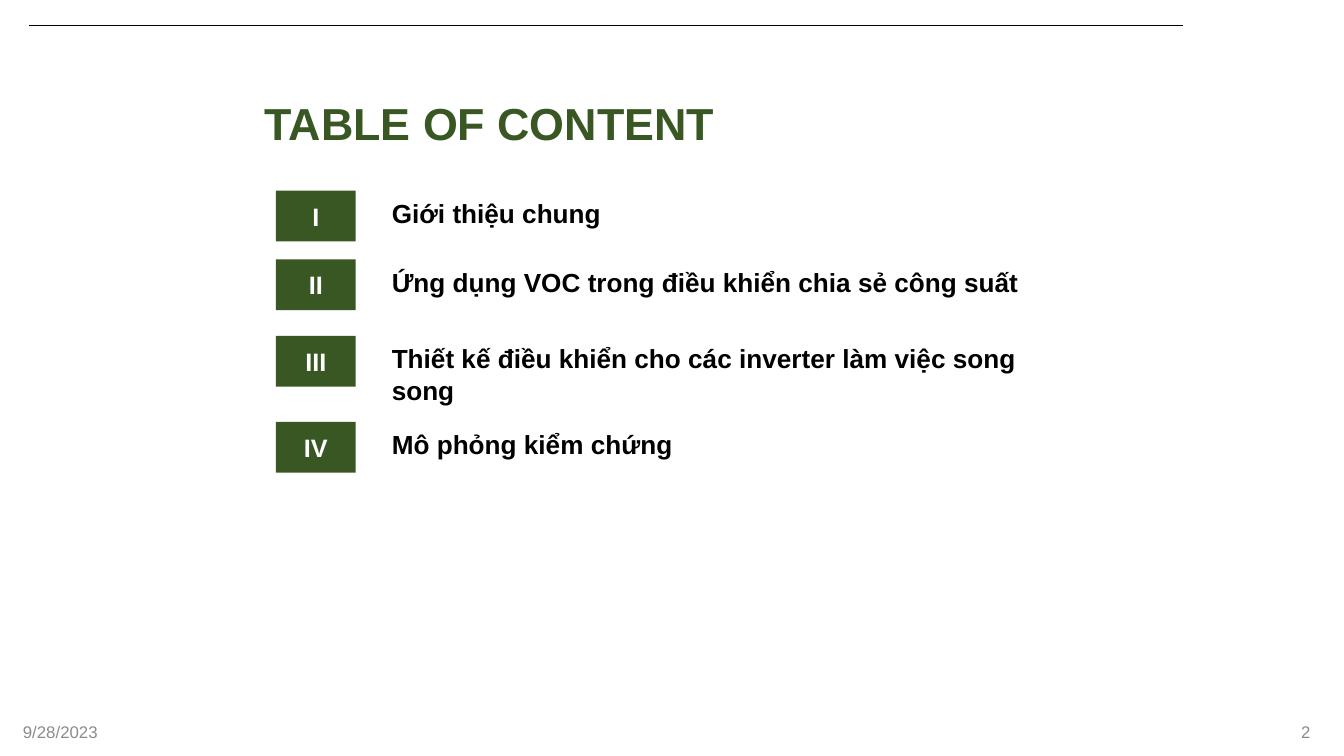
from lxml.etree import SubElement
from pptx import Presentation
from pptx.dml.color import RGBColor
from pptx.enum.shapes import MSO_CONNECTOR, MSO_SHAPE
from pptx.enum.text import MSO_ANCHOR, MSO_AUTO_SIZE, PP_ALIGN
from pptx.oxml.ns import qn
from pptx.util import Pt

GREEN = RGBColor(0x38, 0x57, 0x23)
GRAY = RGBColor(0x8C, 0x8C, 0x8C)
BLACK = RGBColor(0, 0, 0)
WHITE = RGBColor(0xFF, 0xFF, 0xFF)

ITEMS = [
    ("I", "Giới thiệu chung", 102.2, 24.5),
    ("II", "Ứng dụng VOC trong điều khiển chia sẻ công suất", 139, 24.5),
    ("III", "Thiết kế điều khiển cho các inverter làm việc song song", 180, 41),
    ("IV", "Mô phỏng kiểm chứng", 226.1, 24.5),
]


def write(shape, text, size=14, color=BLACK, bold=True, align=PP_ALIGN.LEFT,
          anchor=MSO_ANCHOR.TOP, wrap=True, fit=MSO_AUTO_SIZE.NONE):
    frame = shape.text_frame
    frame.word_wrap = wrap
    frame.auto_size = fit
    frame.vertical_anchor = anchor
    para = frame.paragraphs[0]
    para.alignment = align
    run = para.add_run()
    run.text = text
    font = run.font
    font.name = "Arial"
    font.size = Pt(size)
    font.bold = bold
    font.color.rgb = color


def add_rule(slide):
    rule = slide.shapes.add_connector(
        MSO_CONNECTOR.STRAIGHT, Pt(15.5), Pt(13.6), Pt(633.6), Pt(13.6))
    rule.line.color.rgb = BLACK
    rule.line.width = Pt(0.75)
    SubElement(rule.element.spPr, qn("a:effectLst"))


def add_title(slide):
    title = slide.shapes.title
    title.left, title.top = Pt(134.6), Pt(47.5)
    title.width, title.height = Pt(257.8), Pt(36.3)
    write(title, "TABLE OF CONTENT", size=24, color=GREEN, wrap=False,
          fit=MSO_AUTO_SIZE.SHAPE_TO_FIT_TEXT)


def add_item(slide, mark, text, top, height):
    shapes = slide.shapes.add_group_shape().shapes
    label = shapes.add_textbox(Pt(202.8), Pt(top), Pt(383), Pt(height))
    write(label, text, fit=MSO_AUTO_SIZE.SHAPE_TO_FIT_TEXT)
    badge = shapes.add_shape(
        MSO_SHAPE.RECTANGLE, Pt(147.8), Pt(top), Pt(42.8), Pt(27.2))
    badge.shadow.inherit = False
    badge.fill.solid()
    badge.fill.fore_color.rgb = GREEN
    badge.line.fill.background()
    write(badge, mark, size=13.5, color=WHITE, align=PP_ALIGN.CENTER,
          anchor=MSO_ANCHOR.MIDDLE)


def add_foot(slide, text, left, align):
    box = slide.shapes.add_textbox(Pt(left), Pt(381), Pt(162), Pt(21.6))
    write(box, text, size=9, color=GRAY, bold=False, align=align,
          anchor=MSO_ANCHOR.MIDDLE)


def main():
    deck = Presentation()
    deck.slide_width, deck.slide_height = Pt(720), Pt(405)
    slide = deck.slides.add_slide(deck.slide_layouts[5])
    add_rule(slide)
    add_title(slide)
    for item in ITEMS:
        add_item(slide, *item)
    add_foot(slide, "9/28/2023", 5.2, PP_ALIGN.LEFT)
    add_foot(slide, "2", 547.2, PP_ALIGN.RIGHT)
    deck.save("out.pptx")


if __name__ == "__main__":
    main()
